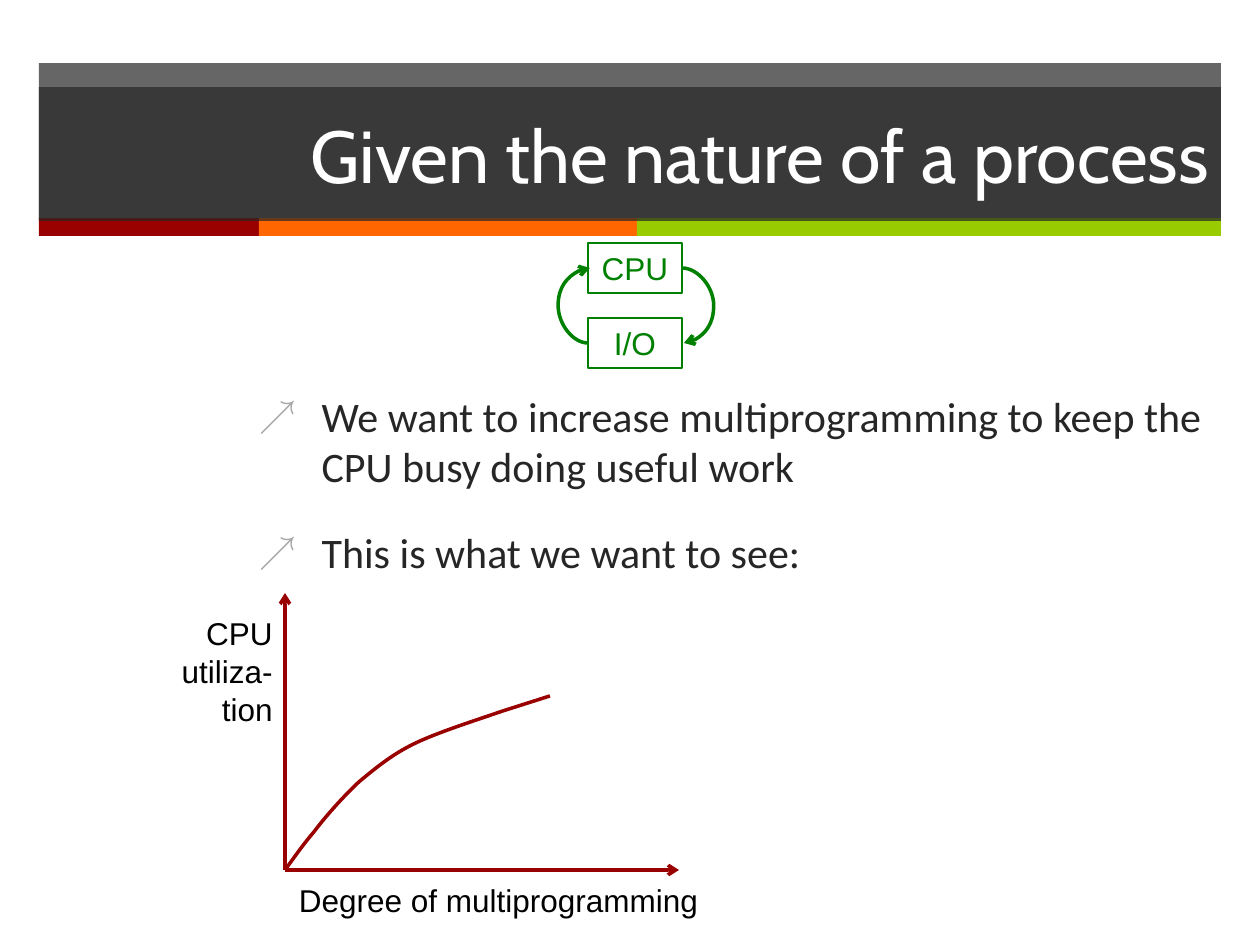
from lxml import etree
from pptx import Presentation
from pptx import util as u
from pptx.dml.color import RGBColor
from pptx.enum import shapes, text
from pptx.oxml import ns

SCALE = 914400 / 126  # EMU per px
WHITE = RGBColor(0xFF, 0xFF, 0xFF)
BLACK = RGBColor(0, 0, 0)
DARK = RGBColor(0x26, 0x26, 0x26)
RED = RGBColor(0x99, 0, 0)
ORANGE = RGBColor(0xFF, 0x66, 0)
LIME = RGBColor(0x99, 0xCC, 0)
GREEN = RGBColor(0, 0x80, 0)


def emu(*lengths):
    return [round(length * SCALE) for length in lengths]


def write(box, lines, font, size, color, align):
    frame = box.text_frame
    frame.word_wrap = True
    for i, line in enumerate(lines):
        para = frame.add_paragraph() if i else frame.paragraphs[0]
        para.alignment = align
        span = para.add_run()
        span.text = line
        span.font.name, span.font.size = font, u.Pt(size)
        span.font.color.rgb = color


deck = Presentation()
deck.slide_width, deck.slide_height = emu(1260, 945)
page = deck.slides.add_slide(deck.slide_layouts[1])
title, body = page.placeholders

# Header band and colour stripes
bars = [(39, 63, 1182, 156, DARK), (39, 218, 220, 18, RED),
        (259, 218, 378, 18, ORANGE), (637, 218, 584, 18, LIME)]
for left, top, width, height, color in bars:
    bar = page.shapes.add_shape(shapes.MSO_SHAPE.RECTANGLE, *emu(left, top, width, height))
    bar.shadow.inherit = False
    bar.line.fill.background()
    bar.fill.solid()
    bar.fill.fore_color.rgb = color
    if color == DARK:
        band = bar

# Title, in front of the stripes
page.shapes._spTree.append(title._element)
title.left, title.top, title.width, title.height = emu(39, 87, 1182, 134)
title.fill.solid()
title.fill.fore_color.rgb = DARK
for box in (band, title):
    tint = box._element.spPr.find(".//" + ns.qn("a:srgbClr"))
    etree.SubElement(tint, ns.qn("a:alpha"), val="70000")
title.text_frame.vertical_anchor = text.MSO_ANCHOR.MIDDLE
title.text_frame.auto_size = text.MSO_AUTO_SIZE.NONE
write(title, ["Given the nature of a process"], "Cabin", 42, WHITE, text.PP_ALIGN.RIGHT)

# Bullet list
page.shapes._spTree.append(body._element)
body.left, body.top, body.width, body.height = emu(246, 384, 975, 209)
body.text_frame.auto_size = text.MSO_AUTO_SIZE.NONE
write(body, ["We want to increase multiprogramming to keep the CPU busy doing useful work",
             "This is what we want to see:"], "Calibri", 24, DARK, text.PP_ALIGN.LEFT)
for i, para in enumerate(body.text_frame.paragraphs):
    para.space_before = u.Pt(20 if i else 0)
    props = para._p.get_or_add_pPr()
    props.set("marL", str(u.Inches(0.5)))
    props.set("indent", str(-u.Inches(0.5)))
    tint = etree.SubElement(props, ns.qn("a:buClr"))
    etree.SubElement(tint, ns.qn("a:srgbClr"), val="A6A6A6")
    etree.SubElement(props, ns.qn("a:buSzPct"), val="90000")
    etree.SubElement(props, ns.qn("a:buChar"), char="↗")

# CPU and I/O boxes
for label, top in (("CPU", 243), ("I/O", 318)):
    box = page.shapes.add_shape(shapes.MSO_SHAPE.RECTANGLE, *emu(588, top, 94, 50))
    box.shadow.inherit = False
    box.fill.background()
    box.line.color.rgb = GREEN
    box.line.width = u.Pt(0.75)
    write(box, [label], "Arial", 18, GREEN, text.PP_ALIGN.CENTER)

# Cycle arrows and chart axes
CURVE, STRAIGHT = shapes.MSO_CONNECTOR.CURVE, shapes.MSO_CONNECTOR.STRAIGHT
arrows = [(CURVE, 682, 268, 684, 343, GREEN, "tailEnd"),
          (CURVE, 590, 268, 588, 343, GREEN, "headEnd"),
          (STRAIGHT, 285, 870, 679, 870, RED, "tailEnd"),
          (STRAIGHT, 285, 870, 285, 593, RED, "tailEnd")]
for kind, x1, y1, x2, y2, color, arrow_end in arrows:
    arrow = page.shapes.add_connector(kind, *emu(x1, y1, x2, y2))
    arrow.line.color.rgb = color
    arrow.line.width = u.Pt(2)
    props = arrow._element.spPr
    etree.SubElement(props.find(ns.qn("a:ln")), ns.qn("a:" + arrow_end), type="arrow")
    etree.SubElement(props, ns.qn("a:effectLst"))
    if kind == CURVE:  # bulge 32 px beyond the 2 px wide connector
        guides = props.find(".//" + ns.qn("a:avLst"))
        etree.SubElement(guides, ns.qn("a:gd"), name="adj1", fmla="val 1600000")

# Utilization curve: a start point, then three points per Bézier segment
points = [(285, 870), (294, 858), (302, 846), (314, 832), (326, 816), (343, 797),
          (359, 782), (377, 767), (394, 753), (418, 742), (442, 731), (480, 719),
          (503, 711), (525, 704), (550, 696), (550, 696)]
builder = page.shapes.build_freeform(*points[0], scale=SCALE)
builder.add_line_segments(points[1:], close=False)
curve = builder.convert_to_shape()
curve.shadow.inherit = False
curve.fill.background()
curve.line.color.rgb = RED
curve.line.width = u.Pt(2)
outline = curve._element.spPr.find(".//" + ns.qn("a:path"))
steps = outline.findall(ns.qn("a:lnTo"))
for i in range(0, len(steps), 3):
    bezier = etree.SubElement(outline, ns.qn("a:cubicBezTo"))
    for step in steps[i:i + 3]:
        bezier.append(step[0])
        outline.remove(step)

# Axis labels
labels = [(285, 875, 427, 50, ["Degree of multiprogramming"], text.PP_ALIGN.CENTER),
          (165, 608, 120, 127, ["CPU utiliza-", "tion"], text.PP_ALIGN.RIGHT)]
for left, top, width, height, lines, align in labels:
    box = page.shapes.add_textbox(*emu(left, top, width, height))
    write(box, lines, "Arial", 18, BLACK, align)

deck.save("out.pptx")
